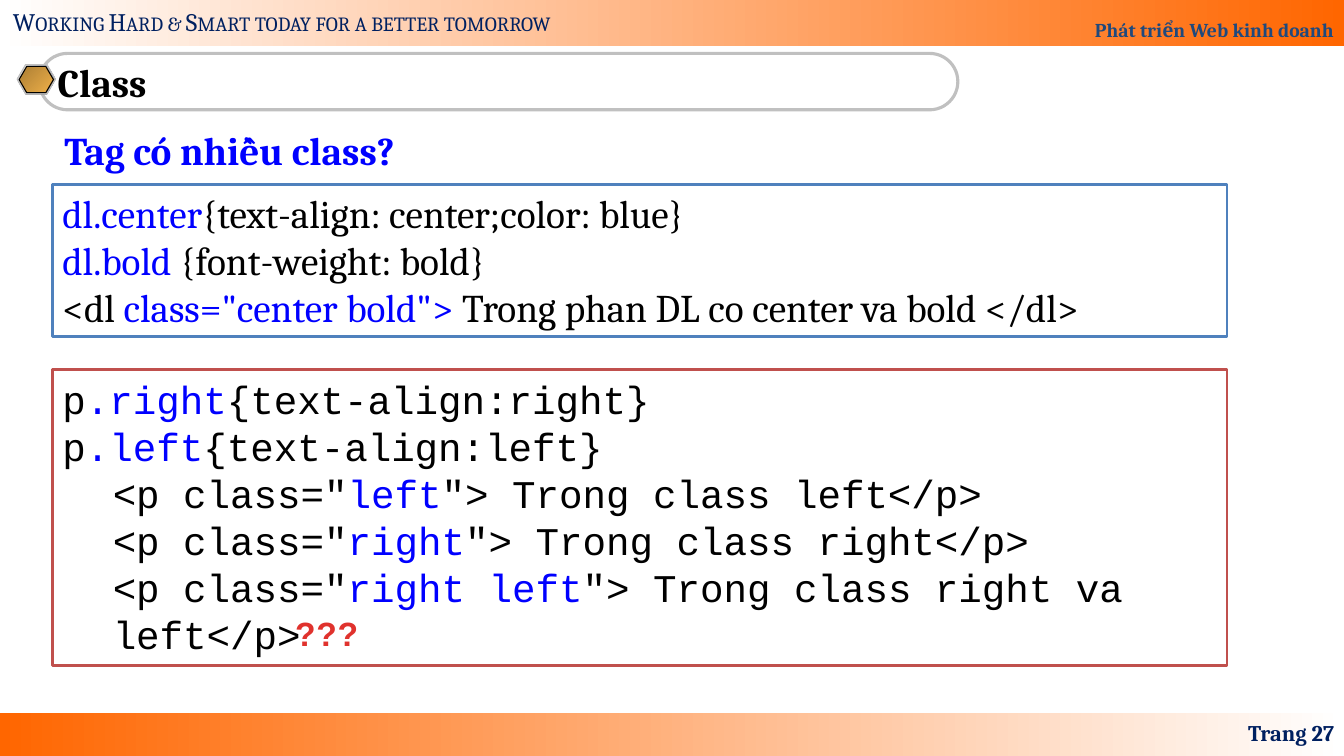
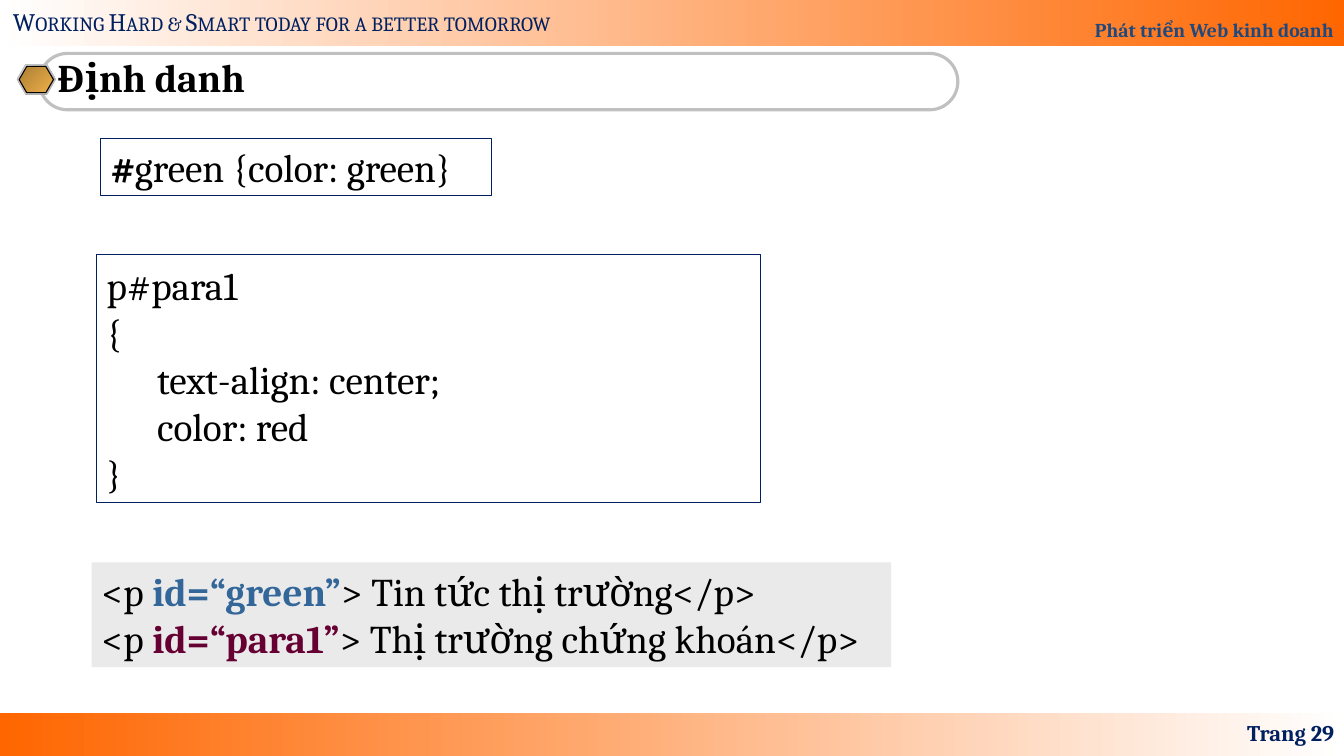
from pptx import Presentation
from pptx.dml.color import RGBColor
from pptx.enum import shapes, text
from pptx.util import Inches, Pt

WHITE = RGBColor(0xFF, 0xFF, 0xFF)
BLACK = RGBColor(0, 0, 0)
ORANGE = RGBColor(0xFF, 0x66, 0x00)
NAVY = RGBColor(0x00, 0x20, 0x60)
HEADER_BLUE = RGBColor(0x1F, 0x49, 0x7D)
CODE_BLUE = RGBColor(0x00, 0x00, 0xFF)
BOX_BLUE = RGBColor(0x4F, 0x81, 0xBD)
BOX_RED = RGBColor(0xC0, 0x50, 0x4D)
STEEL = RGBColor(0x33, 0x66, 0x99)
PLUM = RGBColor(0x66, 0x00, 0x33)
SILVER = RGBColor(0xC0, 0xC0, 0xC0)
GRAY = RGBColor(0x80, 0x80, 0x80)
PALE_GRAY = RGBColor(0xEA, 0xEA, 0xEA)
METAL = RGBColor(0xE6, 0xE6, 0xE6), RGBColor(0x7D, 0x84, 0x96)
GOLD = RGBColor(0xAB, 0x7E, 0x34), RGBColor(0xEF, 0xB0, 0x49)
ALERT = RGBColor(0xE0, 0x32, 0x2D), RGBColor(0xA2, 0x20, 0x1C)

SLIDE_W, SLIDE_H = 13.33, 7.5
SERIF, MONO, SANS = "Cambria", "Courier New", "Arial"
LEFT, RIGHT = text.PP_ALIGN.LEFT, text.PP_ALIGN.RIGHT
TOP, MIDDLE, BOTTOM = text.MSO_ANCHOR.TOP, text.MSO_ANCHOR.MIDDLE, text.MSO_ANCHOR.BOTTOM
RECT = shapes.MSO_SHAPE.RECTANGLE


def paint_gradient(fill, colors, angle=0, start=0):
    """Two-colour gradient; the angle runs counter-clockwise."""
    fill.gradient()
    fill.gradient_angle = angle
    for stop, color, position in zip(fill.gradient_stops, colors, (start, 1)):
        stop.color.rgb = color
        stop.position = position


def add_box(slide, box, kind=RECT, fill=None, line=None, weight=0.75):
    shape = slide.shapes.add_shape(kind, *map(Inches, box))
    shape.shadow.inherit = False
    if fill is None:
        shape.fill.background()
    elif isinstance(fill, RGBColor):
        shape.fill.solid()
        shape.fill.fore_color.rgb = fill
    else:
        paint_gradient(shape.fill, fill, 315 if kind != RECT else 0)
    if line is None:
        shape.line.fill.background()
    else:
        shape.line.color.rgb = line
        shape.line.width = Pt(weight)
    return shape


def write(shape, lines, size=28, font=SERIF, align=LEFT, anchor=TOP, indented=()):
    """Each line is a list of (words, colour, bold) runs."""
    frame = shape.text_frame
    frame.word_wrap = True
    frame.vertical_anchor = anchor
    for index, line in enumerate(lines):
        paragraph = frame.paragraphs[0] if index == 0 else frame.add_paragraph()
        paragraph.alignment = align
        if index in indented:
            paragraph._p.get_or_add_pPr().set("marL", str(Inches(0.5)))
        for words, color, bold in line:
            run = paragraph.add_run()
            run.text = words
            run.font.size, run.font.name, run.font.bold = Pt(size), font, bold
            run.font.color.rgb = color
    return frame.paragraphs[0]


def add_label(slide, box, words, color, bold=True, **style):
    label = slide.shapes.add_textbox(*map(Inches, box))
    return write(label, [[(words, color, bold)]], **style)


def plain(words):
    return words, BLACK, False


def blue(words):
    return words, CODE_BLUE, False


def add_title(slide, box, title, spacing):
    left, top, width, height = box
    pill = add_box(slide, box, shapes.MSO_SHAPE.ROUNDED_RECTANGLE, None, SILVER, 2.25)
    pill.adjustments[0] = 0.5
    write(pill, [[(title, BLACK, True)]], anchor=MIDDLE).line_spacing = spacing
    # Hexagon bullet: shadow, metal rim, gold core
    for dx, dy, w, h, fill, line in (
        (-0.22, 0.12, 0.38, 0.29, GRAY, None),
        (-0.22, 0.11, 0.38, 0.29, METAL, SILVER),
        (-0.20, 0.13, 0.34, 0.26, GOLD, BLACK),
    ):
        hexagon = add_box(slide, (left + dx, top + dy, w, h),
                          shapes.MSO_SHAPE.HEXAGON, fill, line)
        hexagon.adjustments[0] = 0.29


def add_page(deck, title, number, spacing=1.0):
    """Slide with the shared bands, motto, title and page number."""
    slide = deck.slides.add_slide(deck.slide_layouts[6])
    add_box(slide, (0, 7.07, SLIDE_W, 0.43), fill=(ORANGE, WHITE))
    header = add_box(slide, (0, 0, SLIDE_W, 0.46), fill=(WHITE, ORANGE))
    write(header, [[("Phát triển Web kinh doanh", HEADER_BLUE, True)]],
          size=14, align=RIGHT, anchor=BOTTOM).line_spacing = 1.8
    motto = add_label(slide, (0.03, 0.01, 5.9, 0.4),
                      "Working Hard & Smart today for a better tomorrow",
                      NAVY, False, size=18)
    motto.runs[0].font._element.set("cap", "small")
    add_title(slide, (0.39, 0.53, 9.11, 0.56), title, spacing)
    add_label(slide, (10.22, 7.07, 3.11, 0.4), f"Trang {number}", NAVY,
              size=16, align=RIGHT, anchor=MIDDLE)
    return slide


def add_class_slide(deck):
    slide = add_page(deck, "Class", 27)
    add_label(slide, (0.54, 1.2, 12.5, 0.6), "Tag có nhiều class?", CODE_BLUE)
    # Combined classes
    combined = add_box(slide, (0.52, 1.83, 11.65, 1.51), RECT, WHITE, BOX_BLUE, 2)
    write(combined, [
        [blue("dl.center"), plain("{text-align: center;color: blue}")],
        [blue("dl.bold"), plain(" {font-weight: bold}")],
        [plain("<dl "), blue('class="center bold"> '),
         plain("Trong phan DL co center va bold </dl>")],
    ])
    # Conflicting classes
    left, top = 0.52, 3.67
    conflict = add_box(slide, (left, top, 11.65, 2.93), RECT, WHITE, BOX_RED, 2)
    rules = [[plain("p"), blue(f".{side}"), plain(f"{{text-align:{side}}}")]
             for side in ("right", "left")]
    tags = [[plain('<p class="'), blue(names), plain(f'"> Trong class {words}</p>')]
            for names, words in (("left", "left"), ("right", "right"),
                                 ("right left", "right va left"))]
    write(conflict, rules + tags, font=MONO, indented=(2, 3, 4))
    question = add_label(slide, (left + 2.31, top + 2.36, 1.04, 0.51), "???",
                         ALERT[0], size=24, font=SANS)
    question_font = question.runs[0].font
    paint_gradient(question_font.fill, ALERT, 270, 0.25)
    question_font._element.set("spc", "50")


def add_identifier_slide(deck):
    slide = add_page(deck, "Định danh", 29, 0.8)
    # Selectors
    any_tag = add_box(slide, (1, 1.37, 3.88, 0.57), line=NAVY)
    write(any_tag, [[("#", BLACK, True), plain("green {color: green}")]], anchor=MIDDLE)
    paragraph_rule = add_box(slide, (0.96, 2.53, 6.58, 2.46), line=NAVY)
    code = ("p#para1", "{", "text-align: center;", "color: red", "}")
    write(paragraph_rule, [[plain(line)] for line in code],
          anchor=MIDDLE, indented=(2, 3))
    # Usage
    usage = add_box(slide, (0.91, 5.58, 7.93, 1.04), fill=PALE_GRAY)
    write(usage, [
        [plain("<p "), (f"id=“{name}”", color, True), plain(f"> {words}</p>")]
        for name, color, words in (("green", STEEL, "Tin tức thị trường"),
                                   ("para1", PLUM, "Thị trường chứng khoán"))
    ])


def main():
    deck = Presentation()
    deck.slide_width, deck.slide_height = Inches(SLIDE_W), Inches(SLIDE_H)
    add_class_slide(deck)
    add_identifier_slide(deck)
    deck.save("out.pptx")


if __name__ == "__main__":
    main()
